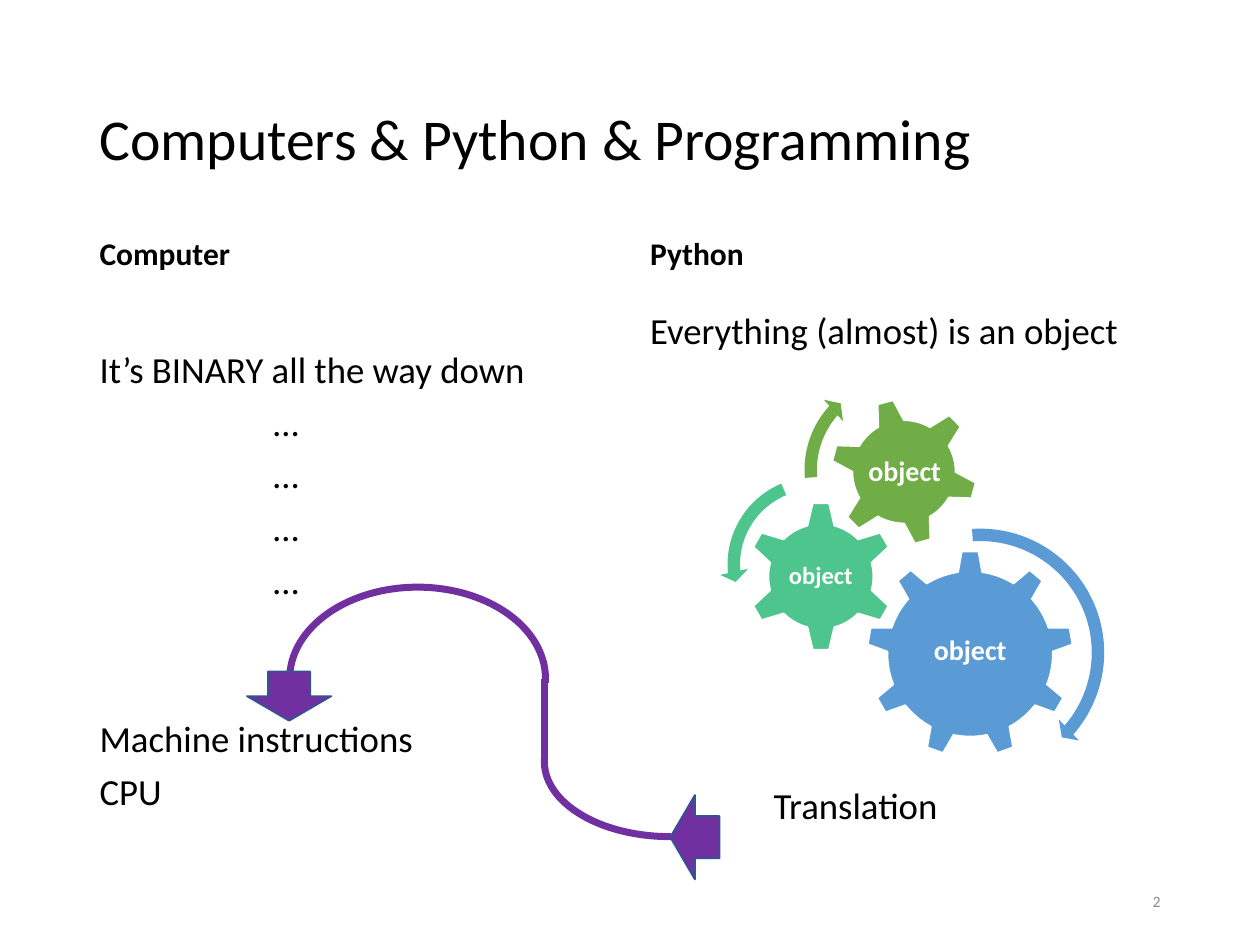
import pptx
import pptx.util
import pptx.dml.color
import pptx.enum.shapes
import pptx.enum.text
import pptx.oxml.ns
import lxml.etree

Inches, Pt = pptx.util.Inches, pptx.util.Pt
SHAPE = pptx.enum.shapes.MSO_SHAPE
ALIGN = pptx.enum.text.PP_ALIGN
ANCHOR = pptx.enum.text.MSO_ANCHOR
COLORS = {
    "black": "000000", "white": "FFFFFF", "gray": "8C8C8C",
    "purple": "7030A0", "outline": "325491",
    "blue": "5B9BD5", "teal": "4DC58D", "green": "70AD47",
}
COLORS = {name: pptx.dml.color.RGBColor.from_string(value) for name, value in COLORS.items()}


def write(box, lines, size, color="black", bold=False, align=ALIGN.LEFT,
          anchor=ANCHOR.TOP, spacing=0.9):
    """Fill a text frame with lines of (text, left indent in inches, space before in points)."""
    frame = box.text_frame
    frame.word_wrap = True
    frame.auto_size = pptx.enum.text.MSO_AUTO_SIZE.NONE
    frame.vertical_anchor = anchor
    frame.text = "\n".join(text for text, indent, before in lines)
    for para, (text, indent, before) in zip(frame.paragraphs, lines):
        para.alignment = align
        para.line_spacing = spacing
        para.space_before = Pt(before)
        props = para._p.get_or_add_pPr()
        props.set("marL", str(Inches(indent)))
        props.set("indent", "0")
        lxml.etree.SubElement(props, pptx.oxml.ns.qn("a:buNone"))
        for span in para.runs:
            span.font.name = "Calibri"
            span.font.size = Pt(size)
            span.font.bold = bold
            span.font.color.rgb = COLORS[color]


def draw(kind, place, fill=None, line=None, width=1, adjustments=(), rotation=0):
    """Add a preset shape without a shadow."""
    shape = page.shapes.add_shape(kind, *map(Inches, place))
    shape.shadow.inherit = False
    shape.rotation = rotation
    for index, value in enumerate(adjustments):
        shape.adjustments[index] = value
    if fill:
        shape.fill.solid()
        shape.fill.fore_color.rgb = COLORS[fill]
    else:
        shape.fill.background()
    if line:
        shape.line.color.rgb = COLORS[line]
        shape.line.width = Pt(width)
    else:
        shape.line.fill.background()


deck = pptx.Presentation()
deck.slide_width, deck.slide_height = Inches(10), Inches(7.5)
page = deck.slides.add_slide(deck.slide_layouts[4])  # Comparison layout

# Title, column headings and column texts
title, left_heading, left_body, right_heading, right_body = page.placeholders
for box, place in [
    (title, (0.69, 0.4, 8.62, 1.45)),
    (left_heading, (0.69, 1.84, 4.23, 0.59)),
    (left_body, (0.69, 2.74, 4.23, 4.03)),
    (right_heading, (5.06, 1.84, 4.25, 0.59)),
    (right_body, (5.06, 2.43, 4.25, 4.34)),
]:
    box.left, box.top, box.width, box.height = map(Inches, place)

write(title, [("Computers & Python & Programming", 0, 0)], 33, anchor=ANCHOR.MIDDLE)
write(left_heading, [("Computer", 0, 7.5)], 18, bold=True)
write(right_heading, [("Python", 0, 7.5)], 18, bold=True)
write(left_body, [
    ("It’s BINARY all the way down", 0, 7.5),
    *[("…", 1.38, 7.5)] * 4,
    ("Machine instructions", 0, 67.5),
    ("CPU", 0, 7.5),
], 21)
write(right_body, [
    ("Everything (almost) is an object", 0, 7.5),
    ("Translation", 0.98, 249),
], 21)

# Slide number
number = page.shapes.add_textbox(Inches(7.06), Inches(6.95), Inches(2.25), Inches(0.4))
write(number, [("2", 0, 0)], 9, "gray", align=ALIGN.RIGHT, anchor=ANCHOR.MIDDLE, spacing=1)

# Purple path from translation to machine instructions
draw(SHAPE.ARC, (4.32, 5.45, 1.99, 1.19), line="purple", width=4, adjustments=(53.41, 109.16))
draw(SHAPE.DOWN_ARROW, (5.18, 6.45, 0.67, 0.39), "purple", "outline", rotation=90)
draw(SHAPE.ARC, (2.3, 4.66, 2.03, 1.45), line="purple", width=4, adjustments=(103.9, 1.18))
link = page.shapes.add_connector(
    pptx.enum.shapes.MSO_CONNECTOR.STRAIGHT,
    Inches(4.32), Inches(5.39), Inches(4.32), Inches(6.05))
link.line.color.rgb = COLORS["purple"]
link.line.width = Pt(4)
lxml.etree.SubElement(link._element.spPr, pptx.oxml.ns.qn("a:effectLst"))
draw(SHAPE.DOWN_ARROW, (1.96, 5.33, 0.67, 0.39), "purple", "outline")

# Gears: kind, place, rotation, colour, label place, label size
for kind, place, rotation, color, label_place, size in [
    (SHAPE.GEAR_9, (6.88, 4.37, 1.64, 1.64), 0, "blue", (7.21, 4.75, 0.98, 0.84), 16),
    (SHAPE.GEAR_6, (5.92, 3.98, 1.19, 1.19), 0, "teal", (6.22, 4.28, 0.59, 0.59), 14),
    (SHAPE.GEAR_6, (6.59, 3.16, 1.17, 1.17), 345, "green", (6.85, 3.42, 0.66, 0.66), 16),
]:
    draw(kind, place, color, "white", rotation=rotation)
    label = page.shapes.add_textbox(*map(Inches, label_place))
    frame = label.text_frame
    frame.margin_left = frame.margin_right = Inches(0.02)
    frame.margin_top = frame.margin_bottom = Inches(0.02)
    write(label, [("object", 0, 0)], size, "white", True, ALIGN.CENTER, ANCHOR.MIDDLE)

# Turning arrows around the gears
for kind, place, color, adjustments in [
    (SHAPE.CIRCULAR_ARROW, (6.73, 4.13, 2.1, 2.1), "blue", (0.047, 2.99, 24.66, 159.73, 0.055)),
    (SHAPE.LEFT_CIRCULAR_ARROW, (5.71, 3.72, 1.52, 1.52), "teal",
     (0.065, 4.3, 104.89, 148.38, 0.075)),
    (SHAPE.CIRCULAR_ARROW, (6.32, 2.91, 1.64, 1.64), "green", (0.06, 3.94, 133.14, 105.08, 0.07)),
]:
    draw(kind, place, color, adjustments=adjustments)

deck.save("out.pptx")
